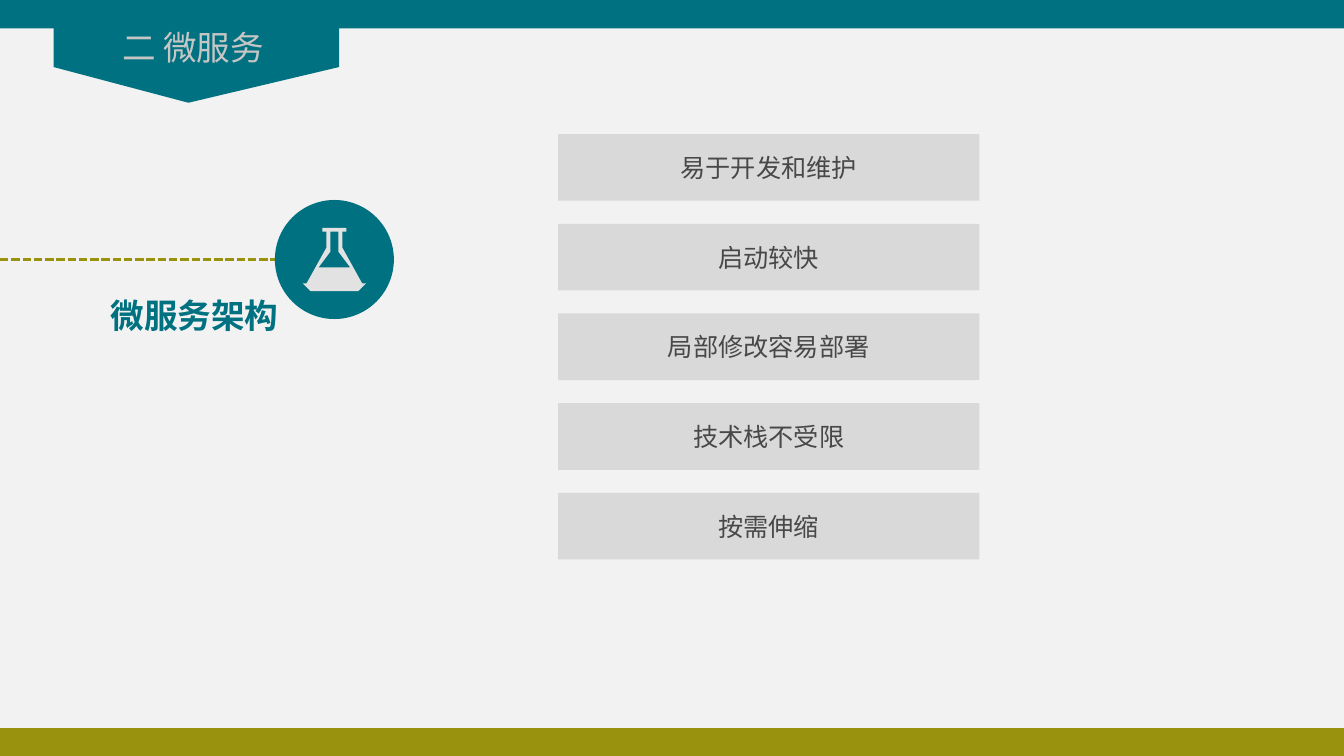
from lxml import etree
from pptx import Presentation
from pptx.dml.color import RGBColor
from pptx.enum.dml import MSO_LINE
from pptx.enum.shapes import MSO_CONNECTOR, MSO_SHAPE
from pptx.enum.text import MSO_ANCHOR, MSO_AUTO_SIZE, PP_ALIGN
from pptx.oxml.ns import qn
from pptx.util import Cm, Pt

TEAL = RGBColor(0x00, 0x71, 0x80)
OLIVE = RGBColor(0x98, 0x92, 0x0E)
PALE = RGBColor(0xF2, 0xF2, 0xF2)
BAR_GREY = RGBColor(0xD9, 0xD9, 0xD9)
TEXT_GREY = RGBColor(0x48, 0x48, 0x49)
TITLE_GREY = RGBColor(0xC6, 0xC6, 0xC6)
ICON_GREY = RGBColor(0xE2, 0xE2, 0xE2)
FONT = "Noto Sans CJK SC"
WIDTH, HEIGHT = Cm(33.88), Cm(19.05)
BAND = Cm(0.74)
ADVANTAGES = ["易于开发和维护", "启动较快", "局部修改容易部署", "技术栈不受限", "按需伸缩"]


def paint(shape, color):
    shape.shadow.inherit = False
    shape.fill.solid()
    shape.fill.fore_color.rgb = color
    shape.line.fill.background()


def add_filled(slide, kind, box, color):
    shape = slide.shapes.add_shape(kind, *box)
    paint(shape, color)
    return shape


def write(shape, text, size, color, align, anchor, bold=False):
    frame = shape.text_frame
    frame.word_wrap = True
    frame.auto_size = MSO_AUTO_SIZE.NONE
    frame.vertical_anchor = anchor
    frame.margin_left = frame.margin_right = Cm(0.25)
    frame.margin_top = frame.margin_bottom = Cm(0.13)
    paragraph = frame.paragraphs[0]
    paragraph.text = text
    paragraph.alignment = align
    font = paragraph.font
    font.size, font.bold, font.name = Pt(size), bold, FONT
    font.color.rgb = color
    # Chinese text takes its typeface from the East Asian font
    east_asian = etree.SubElement(paragraph._p.pPr.find(qn("a:defRPr")), qn("a:ea"))
    east_asian.set("typeface", FONT)


def add_outline(slide, contours, left, top, color):
    """Fill closed contours given in millimetres from (left, top)."""
    first, *holes = contours
    builder = slide.shapes.build_freeform(*first[0], scale=Cm(0.1))
    builder.add_line_segments(first[1:], close=True)
    for hole in holes:
        builder.move_to(*hole[0])
        builder.add_line_segments(hole[1:], close=True)
    paint(builder.convert_to_shape(left, top), color)


def add_header(slide, left, top, width, height):
    add_outline(slide, [[(0, 0), (71.8, 0), (71.8, 10.2), (34.4, 19.3), (0, 10.2)]],
                left + Cm(1.35), top + Cm(0.69), TEAL)
    add_filled(slide, MSO_SHAPE.RECTANGLE, (left, top, width, height), TEAL)
    title = slide.shapes.title
    title.left, title.top = left + Cm(1.12), top + Cm(0.56)
    title.width, title.height = Cm(7.49), Cm(1.27)
    write(title, "二 微服务", 24, TITLE_GREY, PP_ALIGN.CENTER, MSO_ANCHOR.TOP)
    slide.shapes._spTree.append(title._element)  # bring in front of the ribbon


def add_flask(slide, left, top):
    def mirrored(half):
        return half + [(16 - x, y) for x, y in reversed(half)]

    glass = mirrored([(2, 15.6), (0.8, 15.2), (0.2, 14.5), (0.7, 13.5), (5.8, 5.4),
                      (5.8, 1.1), (5.3, 1.1), (4.8, 0.6), (5.3, 0)])
    hollow = mirrored([(4.3, 10.2), (7.1, 5.8), (7.4, 5.3), (7.4, 1.1)])
    add_outline(slide, [glass, hollow], left, top, ICON_GREY)


def add_topic(slide, left, top, width, diameter):
    circle_left = left + width - diameter
    middle = top + diameter // 2
    dashes = slide.shapes.add_connector(MSO_CONNECTOR.STRAIGHT, left, middle, circle_left, middle)
    dashes.line.color.rgb = OLIVE
    dashes.line.width = Pt(2)
    dashes.line.dash_style = MSO_LINE.SQUARE_DOT
    etree.SubElement(dashes._element.spPr, qn("a:effectLst"))
    add_filled(slide, MSO_SHAPE.OVAL, (circle_left, top, diameter, diameter), TEAL)
    label = slide.shapes.add_textbox(left + Cm(2.54), top + Cm(2.26), Cm(5.49), Cm(2.74))
    write(label, "微服务架构", 24, TEAL, PP_ALIGN.LEFT, MSO_ANCHOR.TOP, bold=True)
    add_flask(slide, circle_left + Cm(0.7), top + Cm(0.7))


def add_advantages(slide, left, top, width, height):
    bar_height = Cm(1.68)
    pitch = (height - bar_height) // (len(ADVANTAGES) - 1)
    for row, advantage in enumerate(ADVANTAGES):
        bar = add_filled(slide, MSO_SHAPE.RECTANGLE,
                         (left, top + row * pitch, width, bar_height), BAR_GREY)
        write(bar, advantage, 18, TEXT_GREY, PP_ALIGN.CENTER, MSO_ANCHOR.MIDDLE)


def main():
    deck = Presentation()
    deck.slide_width, deck.slide_height = WIDTH, HEIGHT
    slide = deck.slides.add_slide(deck.slide_layouts[5])
    slide.background.fill.solid()
    slide.background.fill.fore_color.rgb = PALE
    add_header(slide, 0, 0, WIDTH, Cm(0.72))
    add_filled(slide, MSO_SHAPE.RECTANGLE, (0, HEIGHT - Cm(0.7), WIDTH, Cm(0.7)), OLIVE)
    add_topic(slide, 0, Cm(5.04), Cm(9.93), Cm(3))
    add_advantages(slide, Cm(14.07), Cm(3.38), Cm(10.62), Cm(10.72))
    deck.save("out.pptx")


if __name__ == "__main__":
    main()
